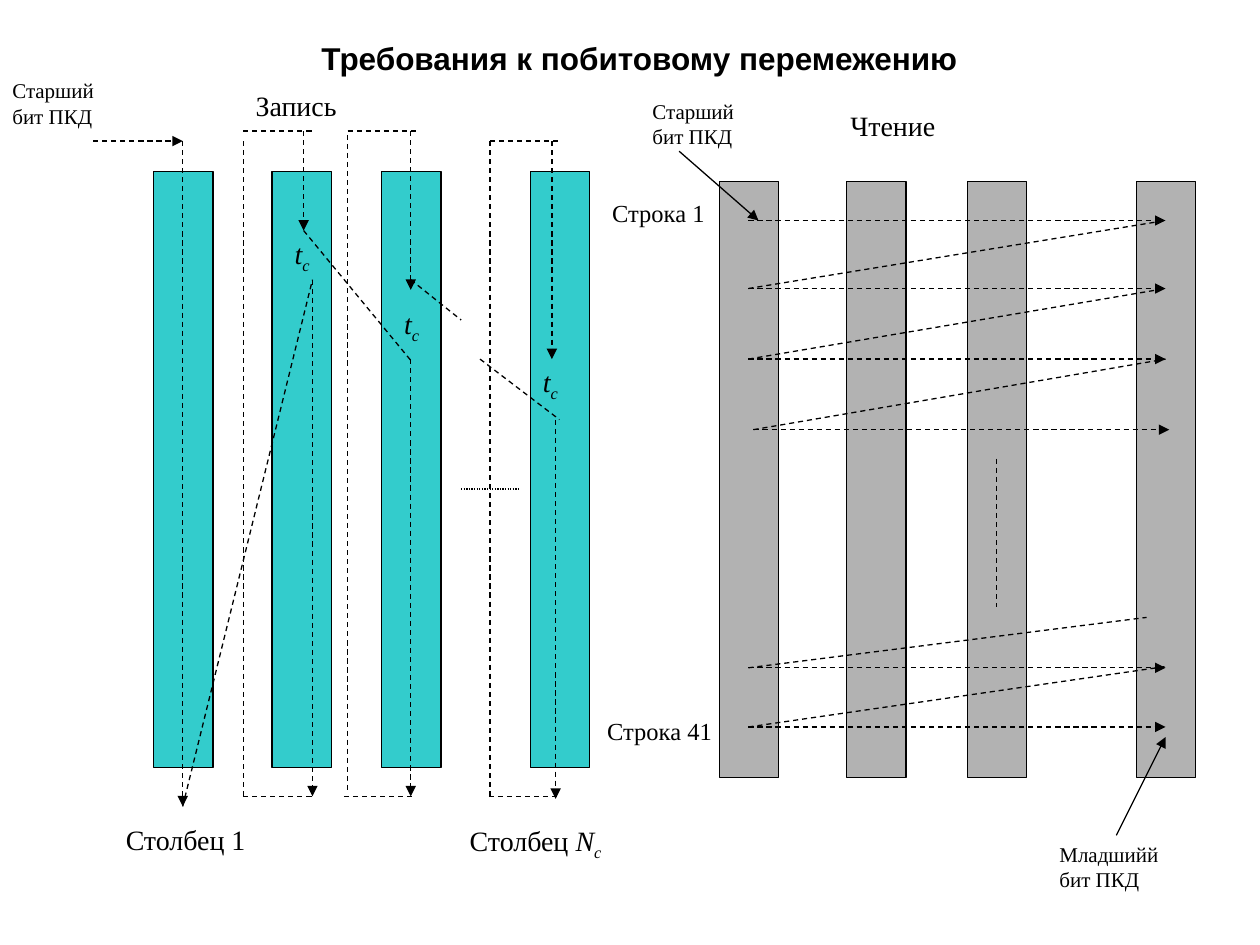
import pptx
import pptx.util
import pptx.dml.color
import pptx.enum.dml
import pptx.enum.shapes
import pptx.enum.text
import pptx.oxml
import pptx.oxml.ns
from pptx.util import Inches

DASH = pptx.enum.dml.MSO_LINE.DASH
DOTS = pptx.enum.dml.MSO_LINE.ROUND_DOT
BLACK = "000000"


def color(hex_string):
    return pptx.dml.color.RGBColor.from_string(hex_string)


def add_line(x1, y1, x2, y2, arrow=False, dash=DASH):
    connector = slide.shapes.add_connector(
        pptx.enum.shapes.MSO_CONNECTOR.STRAIGHT,
        Inches(x1), Inches(y1), Inches(x2), Inches(y2))
    connector.line.color.rgb = color(BLACK)
    connector.line.width = pptx.util.Pt(0.75)
    if dash is not None:
        connector.line.dash_style = dash
    if arrow:
        tail = pptx.oxml.parse_xml(
            f'<a:tailEnd {pptx.oxml.ns.nsdecls("a")} type="triangle"/>')
        connector.line._get_or_add_ln().append(tail)
    connector._element.spPr.append(
        pptx.oxml.parse_xml(f'<a:effectLst {pptx.oxml.ns.nsdecls("a")}/>'))


presentation = pptx.Presentation()
presentation.slide_width = Inches(10)
presentation.slide_height = Inches(7.5)
slide = presentation.slides.add_slide(presentation.slide_layouts[5])

# Title
title = slide.shapes.title
title.left, title.top = Inches(0.43), Inches(0.26)
title.width, title.height = Inches(9.29), Inches(0.4)
title.text_frame.text = "Требования к побитовому перемежению"
title.text_frame.auto_size = pptx.enum.text.MSO_AUTO_SIZE.NONE
title.text_frame.vertical_anchor = pptx.enum.text.MSO_ANCHOR.TOP
paragraph = title.text_frame.paragraphs[0]
paragraph.alignment = pptx.enum.text.PP_ALIGN.CENTER
font = paragraph.runs[0].font
font.name, font.size, font.bold = "Arial", pptx.util.Pt(18), True
font.color.rgb = color(BLACK)

# Memory columns: reading on the right, writing on the left
column_groups = [
    ("B2B2B2", 1.44, [5.71, 6.72, 7.68, 9.02]),
    ("33CCCC", 1.36, [1.22, 2.16, 3.03, 4.21]),
]
for fill, top, lefts in column_groups:
    for left in lefts:
        column = slide.shapes.add_shape(
            pptx.enum.shapes.MSO_SHAPE.RECTANGLE,
            Inches(left), Inches(top), Inches(0.47), Inches(4.73))
        column.shadow.inherit = False
        column.fill.solid()
        column.fill.fore_color.rgb = color(fill)
        column.line.color.rgb = color(BLACK)
        column.line.width = pptx.util.Pt(0.75)

# Writing: entry into the first column
add_line(0.74, 1.12, 1.45, 1.12, arrow=True)
add_line(1.45, 1.12, 1.45, 6.4, arrow=True)

# Writing: return loop, entry arrow and downward arrow of each later column
write_loops = [
    # loop x, loop top, loop bottom, top bar y, bottom bar x,
    # entry x, entry end, down x, down start, down end
    (1.93, 1.12, 6.32, 1.04, 1.93, 2.41, 1.83, 2.48, 2.22, 6.32),
    (2.76, 1.07, 6.27, 1.04, 2.73, 3.26, 2.3, 3.26, 2.85, 6.32),
    (3.89, 1.12, 6.32, 1.12, 3.88, 4.38, 2.85, 4.41, 3.33, 6.34),
]
for (loop_x, loop_top, loop_bottom, bar_y, bottom_x,
     entry_x, entry_end, down_x, down_start, down_end) in write_loops:
    add_line(loop_x, loop_top, loop_x, loop_bottom)
    add_line(loop_x, bar_y, loop_x + 0.55, bar_y)
    add_line(bottom_x, 6.32, bottom_x + 0.55, 6.32)
    add_line(entry_x, bar_y, entry_x, entry_end, arrow=True)
    add_line(down_x, down_start, down_x, down_end, arrow=True)

# Writing: jumps between columns and the omitted columns
for jump in [(1.45, 6.4, 2.48, 2.22), (2.41, 1.83, 3.26, 2.86),
             (3.26, 2.22, 3.66, 2.54), (3.81, 2.85, 4.44, 3.33)]:
    add_line(*jump)
add_line(3.66, 3.88, 4.13, 3.88, dash=DOTS)

# Reading: each row arrow, and the return line from the end of the row above
read_rows = [
    # row start, row end, y, return line's far end
    (5.94, 9.25, 1.75, None),
    (5.94, 9.25, 2.29, (9.25, 1.75)),
    (5.94, 9.25, 2.85, (9.25, 2.29)),
    (5.98, 9.28, 3.41, (9.25, 2.85)),
    (5.94, 9.25, 5.3, (9.1, 4.9)),
    (5.94, 9.25, 5.77, (9.25, 5.29)),
]
for start, end, y, return_end in read_rows:
    add_line(start, y, end, y, arrow=True)
    if return_end:
        add_line(start, y, *return_end)
add_line(7.91, 3.64, 7.91, 4.82)

# Pointers to the first and last bits
add_line(5.39, 1.2, 6.02, 1.75, arrow=True, dash=None)
add_line(8.86, 6.63, 9.25, 5.85, arrow=True, dash=None)

# Labels: upright text, italic symbol, italic subscript
labels = [
    (0, 0.57, 0.9, 0.5, 12, "Старший бит ПКД", "", ""),
    (5.08, 0.73, 0.9, 0.5, 12, "Старший бит ПКД", "", ""),
    (8.31, 6.63, 1.26, 0.5, 12, "Младшийй бит ПКД", "", ""),
    (1.93, 0.65, 1.42, 0.37, 16, "Запись", "", ""),
    (6.65, 0.81, 1.42, 0.37, 16, "Чтение", "", ""),
    (4.76, 1.52, 0.98, 0.34, 14, "Строка 1", "", ""),
    (4.72, 5.63, 1.14, 0.34, 14, "Строка 41", "", ""),
    (0.9, 6.48, 1.34, 0.37, 16, "Столбец 1", "", ""),
    (3.63, 6.49, 1.34, 0.41, 16, "Столбец ", "N", "c"),
    (2.24, 1.83, 0.47, 0.41, 16, "", "t", "c"),
    (3.11, 2.38, 0.47, 0.41, 16, "", "t", "c"),
    (4.21, 2.84, 0.47, 0.41, 16, "", "t", "c"),
]
for left, top, width, height, size, plain, symbol, subscript in labels:
    label = slide.shapes.add_textbox(
        Inches(left), Inches(top), Inches(width), Inches(height))
    label.text_frame.word_wrap = True
    paragraph = label.text_frame.paragraphs[0]
    paragraph.space_before = pptx.util.Pt(size * 0.625)
    for position, text in enumerate((plain, symbol, subscript)):
        if not text:
            continue
        run = paragraph.add_run()
        run.text = text
        run.font.name = "Times New Roman"
        run.font.size = pptx.util.Pt(size)
        run.font.color.rgb = color(BLACK)
        if position > 0:
            run.font.italic = True
        if position == 2:
            run.font._element.set("baseline", "-25000")

presentation.save("out.pptx")
